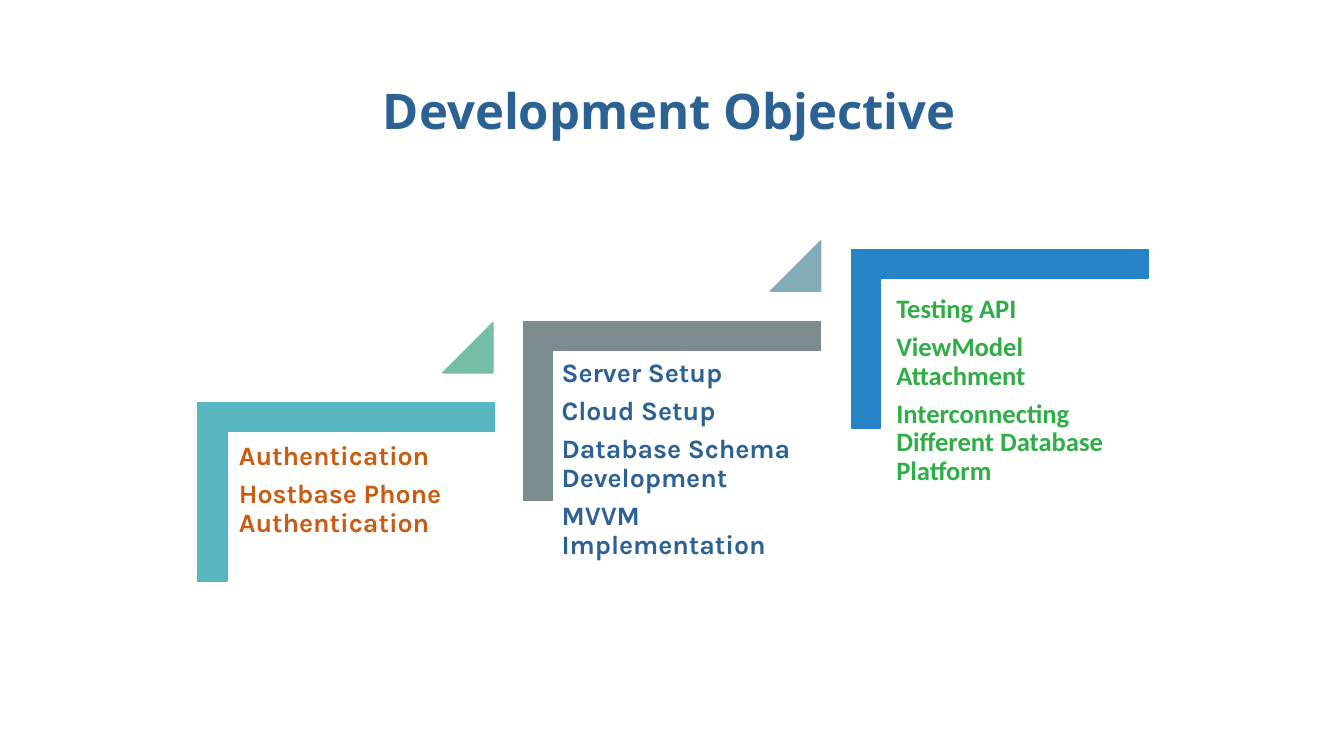
from pptx import Presentation
from pptx.dml.color import RGBColor
from pptx.enum.shapes import MSO_SHAPE
from pptx.enum.text import MSO_ANCHOR, MSO_AUTO_SIZE
from pptx.util import Inches, Pt

NAVY = "2C6193"
STEP_SIZE = 19


def color(value):
    return RGBColor.from_string(value)


class StairPage:
    """Draws the title, stair corners, rise markers and step texts on one page."""

    def __init__(self, page):
        self.page = page

    def shape(self, kind, left, top, width, height, fill):
        shape = self.page.shapes.add_shape(
            kind, Inches(left), Inches(top), Inches(width), Inches(height))
        shape.shadow.inherit = False
        shape.fill.solid()
        shape.fill.fore_color.rgb = color(fill)
        shape.line.color.rgb = color(fill)
        shape.line.width = Pt(1)
        return shape

    def corner(self, left, top, fill):
        corner = self.shape(MSO_SHAPE.CORNER, left, top, 1.77, 2.94, fill)
        corner.rotation = 90
        corner.adjustments[0] = corner.adjustments[1] = 0.161

    def rise_marker(self, left, top, fill):
        marker = self.shape(MSO_SHAPE.ISOSCELES_TRIANGLE, left, top, 0.5, 0.5, fill)
        marker.adjustments[0] = 1

    def text(self, place, lines, font, size, ink):
        box = self.page.shapes.add_textbox(*[Inches(length) for length in place])
        frame = box.text_frame
        frame.word_wrap = True
        frame.vertical_anchor = MSO_ANCHOR.TOP
        frame.text = "\n".join(lines)
        for para in frame.paragraphs:
            for span in para.runs:
                span.font.name = font
                span.font.size = Pt(size)
                span.font.bold = True
                span.font.color.rgb = color(ink)
        return frame

    def title(self, place, words):
        frame = self.text(place, [words], "Open Sans", 35, NAVY)
        frame.word_wrap = False
        frame.auto_size = MSO_AUTO_SIZE.SHAPE_TO_FIT_TEXT

    def step_text(self, place, lines, font, ink):
        frame = self.text(place, lines, font, STEP_SIZE, ink)
        frame.margin_left = frame.margin_right = Inches(0.08)
        frame.margin_top = frame.margin_bottom = Inches(0.08)
        for para in frame.paragraphs:
            para.line_spacing = 0.9
            para.space_after = Pt(0.35 * STEP_SIZE)


# corner position and fill, text place, lines, font, ink, rise marker
STEPS = [
    ((2.55, 3.41, "58B6C0"), (2.29, 4.31, 2.56, 2.29),
     ["Authentication", "Hostbase Phone Authentication"],
     "Karla", "C85C12", (4.39, 3.2, "75BDA7")),
    ((5.78, 2.61, "7A8C8E"), (5.49, 3.49, 2.65, 2.33),
     ["Server Setup", "Cloud Setup", "Database Schema Development",
      "MVVM Implementation"],
     "Karla", NAVY, (7.64, 2.39, "84ACB6")),
    ((9.03, 1.89, "2683C6"), (8.81, 2.85, 2.51, 2.16),
     ["Testing API", "ViewModel Attachment",
      "Interconnecting Different Database Platform"],
     "Calibri", "31AD47", None),
]


def main():
    deck = Presentation()
    deck.slide_width = Inches(13.33)
    deck.slide_height = Inches(7.5)
    stairs = StairPage(deck.slides.add_slide(deck.slide_layouts[6]))
    for corner, place, lines, font, ink, marker in STEPS:
        stairs.corner(*corner)
        stairs.step_text(place, lines, font, ink)
        if marker:
            stairs.rise_marker(*marker)
    stairs.title((3.7, 0.75, 5.94, 0.69), "Development Objective")
    deck.save("out.pptx")


if __name__ == "__main__":
    main()
